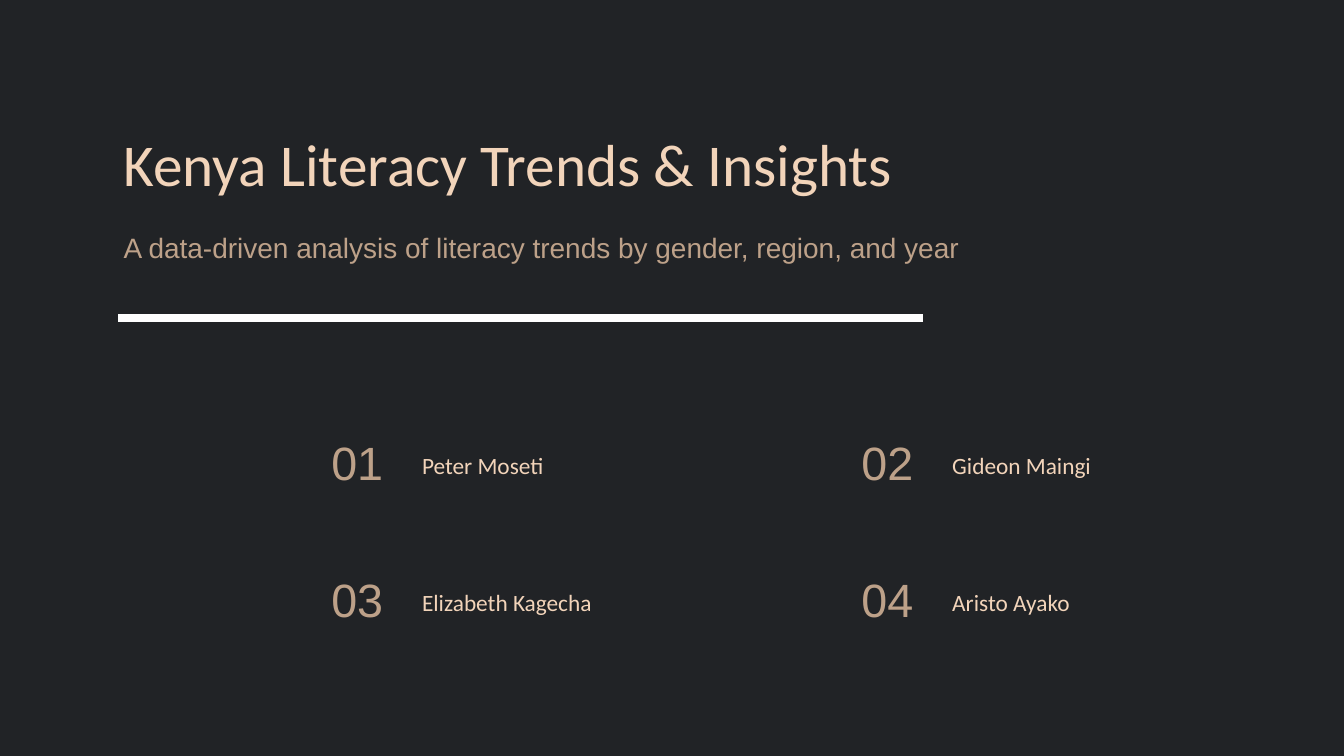
import pptx
import pptx.dml.color
import pptx.enum.shapes
import pptx.enum.text
import pptx.oxml.ns
import pptx.util
from lxml import etree

Inches, Pt = pptx.util.Inches, pptx.util.Pt
CREAM, TAN, WHITE = "F2D4BA", "BDA189", "FFFFFF"
CHARCOAL, SLATE = "212326", "36383C"


def paint(color_format, hex_color):
    color_format.rgb = pptx.dml.color.RGBColor.from_string(hex_color)


def write(box, place, text, font, size, leading, hex_color):
    box.left, box.top, box.width, box.height = [Inches(n) for n in place]
    frame = box.text_frame
    frame.margin_left = frame.margin_top = frame.margin_right = frame.margin_bottom = 0
    frame.word_wrap = True
    frame.auto_size = pptx.enum.text.MSO_AUTO_SIZE.SHAPE_TO_FIT_TEXT
    frame.vertical_anchor = pptx.enum.text.MSO_ANCHOR.TOP
    frame.text = text
    para = frame.paragraphs[0]
    para.alignment = pptx.enum.text.PP_ALIGN.LEFT
    para.line_spacing = Pt(leading)
    para.font.name, para.font.size = font, Pt(size)
    paint(para.font.color, hex_color)


# Deck and page
deck = pptx.Presentation()
deck.slide_width, deck.slide_height = Inches(20), Inches(11.25)
page = deck.slides.add_slide(deck.slide_layouts[5])
page.background.fill.solid()
paint(page.background.fill.fore_color, SLATE)

# Dark panel over the whole page, moved behind the title
outline = page.shapes.build_freeform(0, 0)
outline.add_line_segments([(deck.slide_width, 0),
                           (deck.slide_width, deck.slide_height),
                           (0, deck.slide_height)])
panel = outline.convert_to_shape()
panel.shadow.inherit = False
panel.fill.solid()
paint(panel.fill.fore_color, CHARCOAL)
panel.line.fill.background()
page.shapes.element.insert(2, panel.element)

# Title and subtitle share a left margin
margin = 1.84
write(page.shapes.title, (margin, 1.89, 15.41, 1.07),
      "Kenya Literacy Trends & Insights", "Calibri", 63.5, 76.2, CREAM)
subtitle = page.shapes.add_textbox(0, 0, 0, 0)
write(subtitle, (margin, 3.39, 13.95, 0.54),
      "A data-driven analysis of literacy trends by gender, region, and year",
      "Arial", 30, 39, TAN)

# Numbered presenters, two to a row
grid_left, grid_top = 4.93, 6.46
column_step, row_step = 7.89, 2.04
presenters = ["Peter Moseti", "Gideon Maingi", "Elizabeth Kagecha", "Aristo Ayako"]
for index, presenter in enumerate(presenters):
    row, column = divmod(index, 2)
    left = grid_left + column * column_step
    top = grid_top + row * row_step
    number_box = page.shapes.add_textbox(0, 0, 0, 0)
    write(number_box, (left, top, 0.93, 0.86), f"{index + 1:02}", "Arial", 50, 60, TAN)
    name_box = page.shapes.add_textbox(0, 0, 0, 0)
    write(name_box, (left + 1.35, top + 0.22, 3.99, 0.45), presenter,
          "Calibri", 25, 32.5, CREAM)

# Rule under the heading
rule = page.shapes.add_connector(pptx.enum.shapes.MSO_CONNECTOR.STRAIGHT,
                                 Inches(1.76), Inches(4.73), Inches(13.74), Inches(4.73))
rule.line.width = Pt(8.25)
rule.line.fill.solid()
paint(rule.line.fill.fore_color, WHITE)
etree.SubElement(rule.element.spPr, pptx.oxml.ns.qn("a:effectLst"))

deck.save("out.pptx")
